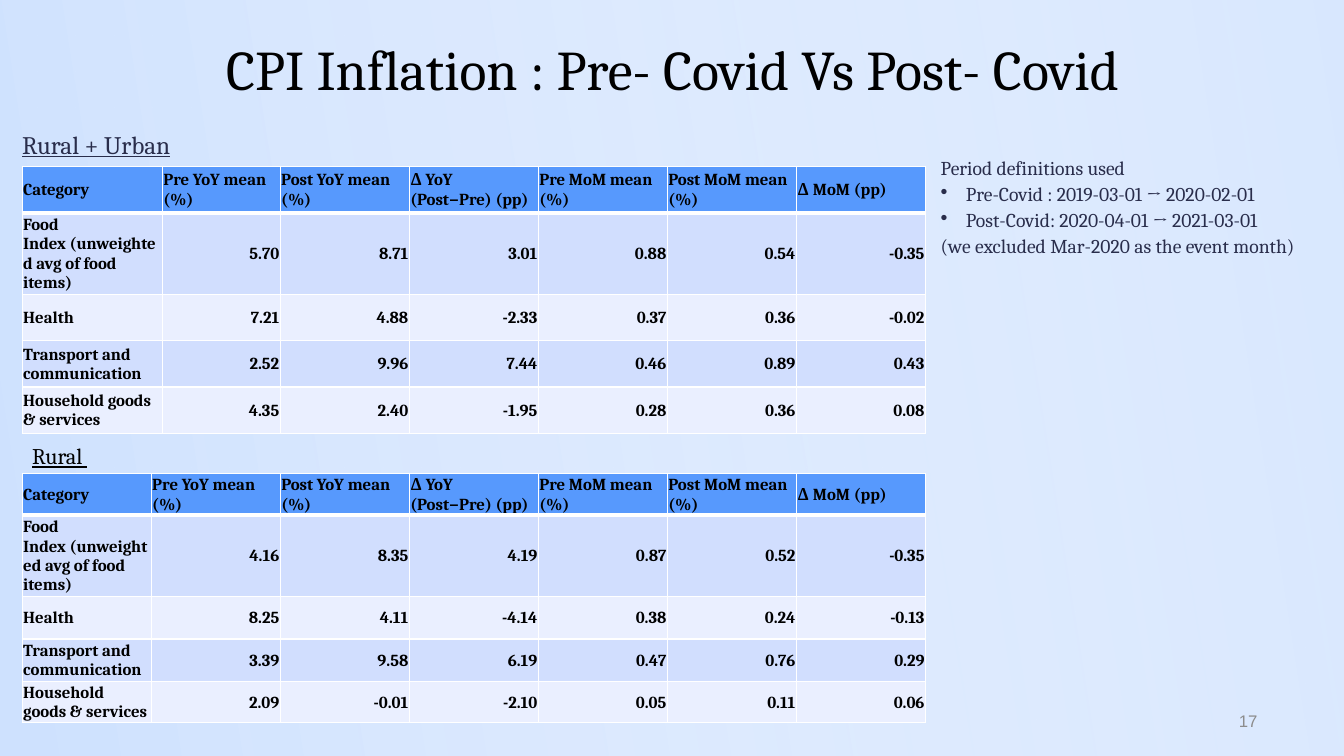
from lxml import etree
from pptx import Presentation
from pptx.dml.color import RGBColor
from pptx.enum.shapes import MSO_SHAPE
from pptx.enum.text import MSO_ANCHOR, PP_ALIGN
from pptx.oxml.ns import qn
from pptx.util import Inches, Pt

RECTANGLE = MSO_SHAPE.RECTANGLE
TOP, MIDDLE, BOTTOM = MSO_ANCHOR.TOP, MSO_ANCHOR.MIDDLE, MSO_ANCHOR.BOTTOM
LEFT, CENTER, RIGHT = PP_ALIGN.LEFT, PP_ALIGN.CENTER, PP_ALIGN.RIGHT

COLORS = {
    "sky": "CFE2FF", "white": "FFFFFF", "black": "000000", "navy": "292D4B",
    "header": "5799FD", "odd": "D1DEFE", "even": "EAEFFF", "number": "8C8C8C",
}
SLIDE_WIDTH, SLIDE_HEIGHT = 13.33, 7.5
NO_BREAK_SPACE = chr(160)
TITLE = "CPI Inflation : Pre- Covid Vs Post- Covid"
PERIOD_NOTES = [
    ("Period definitions used", False),
    ("Pre-Covid : 2019-03-01 → 2020-02-01", True),
    ("Post-Covid: 2020-04-01 → 2021-03-01", True),
    ("(we excluded Mar-2020 as the event month)", False),
]
HEADINGS = [
    "Category", "Pre YoY mean (%)", "Post YoY mean (%)", "Δ YoY (Post−Pre) (pp)",
    "Pre MoM mean (%)", "Post MoM mean (%)", "Δ MoM (pp)",
]
CATEGORIES = [
    NO_BREAK_SPACE.join(["Food Index", "(unweighted avg of food items)"]), "Health",
    "Transport and communication", "Household goods & services",
]
COMBINED_RATES = [
    ("5.70", "8.71", "3.01", "0.88", "0.54", "-0.35"),
    ("7.21", "4.88", "-2.33", "0.37", "0.36", "-0.02"),
    ("2.52", "9.96", "7.44", "0.46", "0.89", "0.43"),
    ("4.35", "2.40", "-1.95", "0.28", "0.36", "0.08"),
]
RURAL_RATES = [
    ("4.16", "8.35", "4.19", "0.87", "0.52", "-0.35"),
    ("8.25", "4.11", "-4.14", "0.38", "0.24", "-0.13"),
    ("3.39", "9.58", "6.19", "0.47", "0.76", "0.29"),
    ("2.09", "-0.01", "-2.10", "0.05", "0.11", "0.06"),
]
TABLE_LEFT, TABLE_WIDTH, COLUMN = 0.22, 8.96, 1.28
TABLES = [
    (1.65, [1.39, 1.17] + [COLUMN] * 5, [0.46, 0.77, 0.46, 0.46, 0.46], COMBINED_RATES),
    (4.7, [COLUMN] * 7, [0.41, 0.79, 0.42, 0.42, 0.41], RURAL_RATES),
]


def rgb(name):
    return RGBColor.from_string(COLORS[name])


def write(paragraph, text, size=12, color="black", font="Cambria", bold=False,
          underline=False, align=LEFT, line=None, before=None, after=None, bullet=False):
    if bullet:
        properties = paragraph._p.get_or_add_pPr()
        properties.set("marL", str(Inches(0.25)))
        properties.set("indent", str(Inches(-0.25)))
        etree.SubElement(properties, qn("a:buFont")).set("typeface", "Arial")
        etree.SubElement(properties, qn("a:buChar")).set("char", "•")
    paragraph.alignment = align
    paragraph.line_spacing = line
    paragraph.space_before = before
    paragraph.space_after = after
    run = paragraph.add_run()
    run.text = text
    run.font.name = font
    run.font.size = Pt(size)
    run.font.bold = bold
    run.font.underline = underline
    run.font.color.rgb = rgb(color)


def add_frame(slide, left, top, width, height, anchor=TOP, inset=(0, 0)):
    box = slide.shapes.add_textbox(Inches(left), Inches(top), Inches(width), Inches(height))
    frame = box.text_frame
    frame.word_wrap = True
    frame.vertical_anchor = anchor
    frame.margin_left = frame.margin_right = Inches(inset[0])
    frame.margin_top = frame.margin_bottom = Inches(inset[1])
    return frame


def add_background(slide):
    backdrop = slide.shapes.add_shape(RECTANGLE, 0, 0, Inches(SLIDE_WIDTH), Inches(SLIDE_HEIGHT))
    backdrop.shadow.inherit = False
    backdrop.line.fill.background()
    backdrop.fill.gradient()
    backdrop.fill.gradient_angle = 9
    start, end = backdrop.fill.gradient_stops
    start.position, end.position = 0, 1
    start.color.rgb, end.color.rgb = rgb("sky"), rgb("white")
    white = backdrop._element.spPr.findall(".//" + qn("a:srgbClr"))[-1]
    etree.SubElement(white, qn("a:alpha")).set("val", "20000")


def style_cell(cell, fill, bottom_width):
    cell.vertical_anchor = MIDDLE
    cell.margin_left = cell.margin_top = cell.margin_right = Inches(0.01)
    cell.margin_bottom = 0
    properties = cell._tc.get_or_add_tcPr()
    for side, width in (("L", 1), ("R", 1), ("T", 1), ("B", bottom_width)):
        border = etree.SubElement(properties, qn("a:ln" + side), w=str(Pt(width)))
        solid = etree.SubElement(border, qn("a:solidFill"))
        etree.SubElement(solid, qn("a:srgbClr")).set("val", COLORS["white"])
    cell.fill.solid()
    cell.fill.fore_color.rgb = rgb(fill)


def add_rates_table(slide, top, widths, heights, rates):
    rows = [HEADINGS] + [[category, *values] for category, values in zip(CATEGORIES, rates)]
    table = slide.shapes.add_table(len(rows), len(HEADINGS), Inches(TABLE_LEFT), Inches(top),
                                   Inches(TABLE_WIDTH), Inches(sum(heights))).table
    for column, width in zip(table.columns, widths):
        column.width = Inches(width)
    for r, (texts, height) in enumerate(zip(rows, heights)):
        table.rows[r].height = Inches(height)
        fill = "header" if r == 0 else "odd" if r % 2 else "even"
        for c, text in enumerate(texts):
            cell = table.cell(r, c)
            style_cell(cell, fill, 3 if r == 0 else 1)
            write(cell.text_frame.paragraphs[0], text, bold=True,
                  align=RIGHT if r and c else LEFT)


def main():
    deck = Presentation()
    deck.slide_width, deck.slide_height = Inches(SLIDE_WIDTH), Inches(SLIDE_HEIGHT)
    slide = deck.slides.add_slide(deck.slide_layouts[6])
    slide.background.fill.solid()
    slide.background.fill.fore_color.rgb = rgb("sky")
    add_background(slide)

    title = add_frame(slide, 0.67, 0.24, 12, 0.77, anchor=BOTTOM)
    write(title.paragraphs[0], TITLE, size=40, align=CENTER)
    combined = add_frame(slide, TABLE_LEFT, 1.19, 3.92, 0.62)
    write(combined.paragraphs[0], "Rural + Urban", size=18, color="navy",
          underline=True, line=1.3)
    rural = add_frame(slide, TABLE_LEFT, 4.26, 3.92, 0.62, inset=(0.1, 0.05))
    write(rural.paragraphs[0], "Rural ", size=16, underline=True, line=1.3, after=Pt(10))

    periods = add_frame(slide, 9.33, 1.65, 4.01, 1.14)
    for i, (note, bullet) in enumerate(PERIOD_NOTES):
        paragraph = periods.add_paragraph() if i else periods.paragraphs[0]
        write(paragraph, note, size=14, color="navy", line=0.5,
              before=Pt(10) if i else None, bullet=bullet)

    for top, widths, heights, rates in TABLES:
        add_rates_table(slide, top, widths, heights, rates)
    number = add_frame(slide, 9.57, 6.95, 3, 0.4, anchor=MIDDLE, inset=(0.1, 0.05))
    write(number.paragraphs[0], "17", color="number", font="Arial", align=RIGHT)
    deck.save("out.pptx")


if __name__ == "__main__":
    main()
